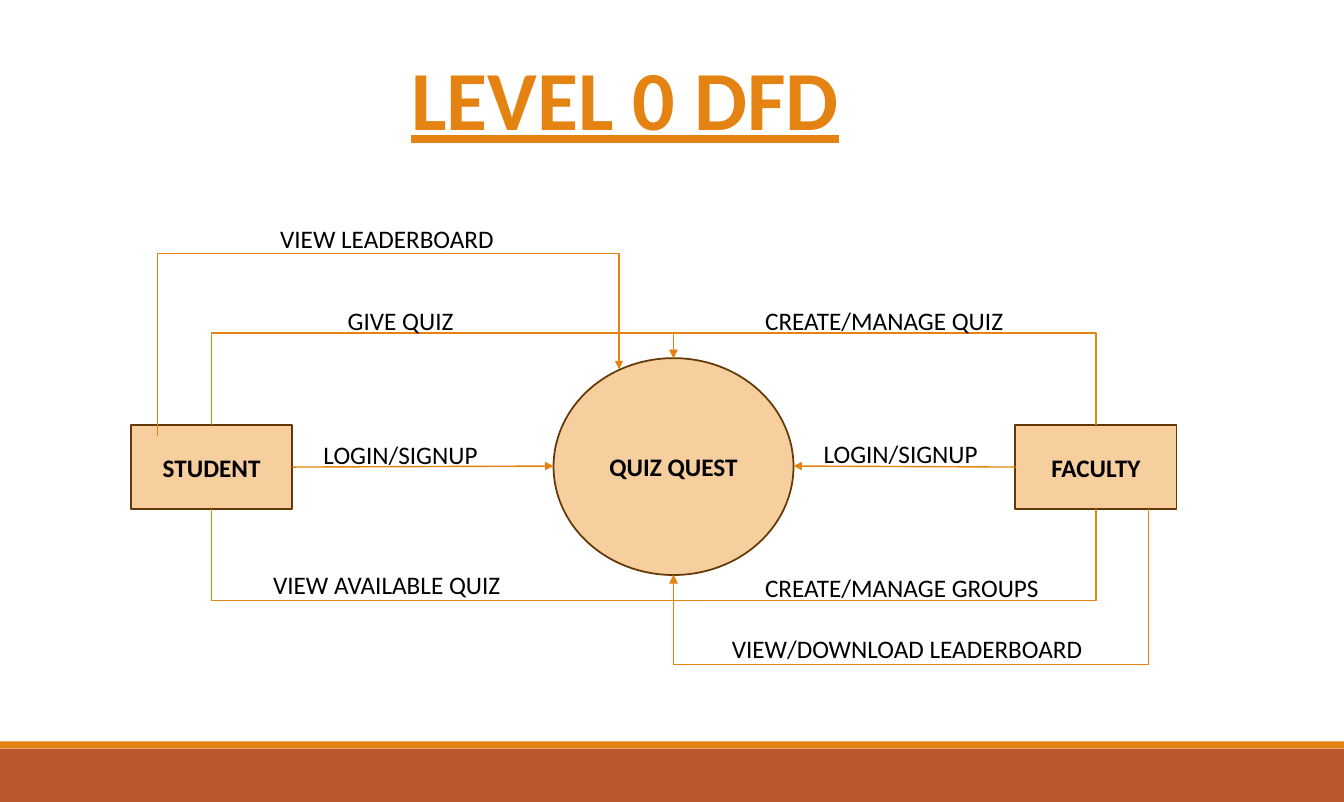
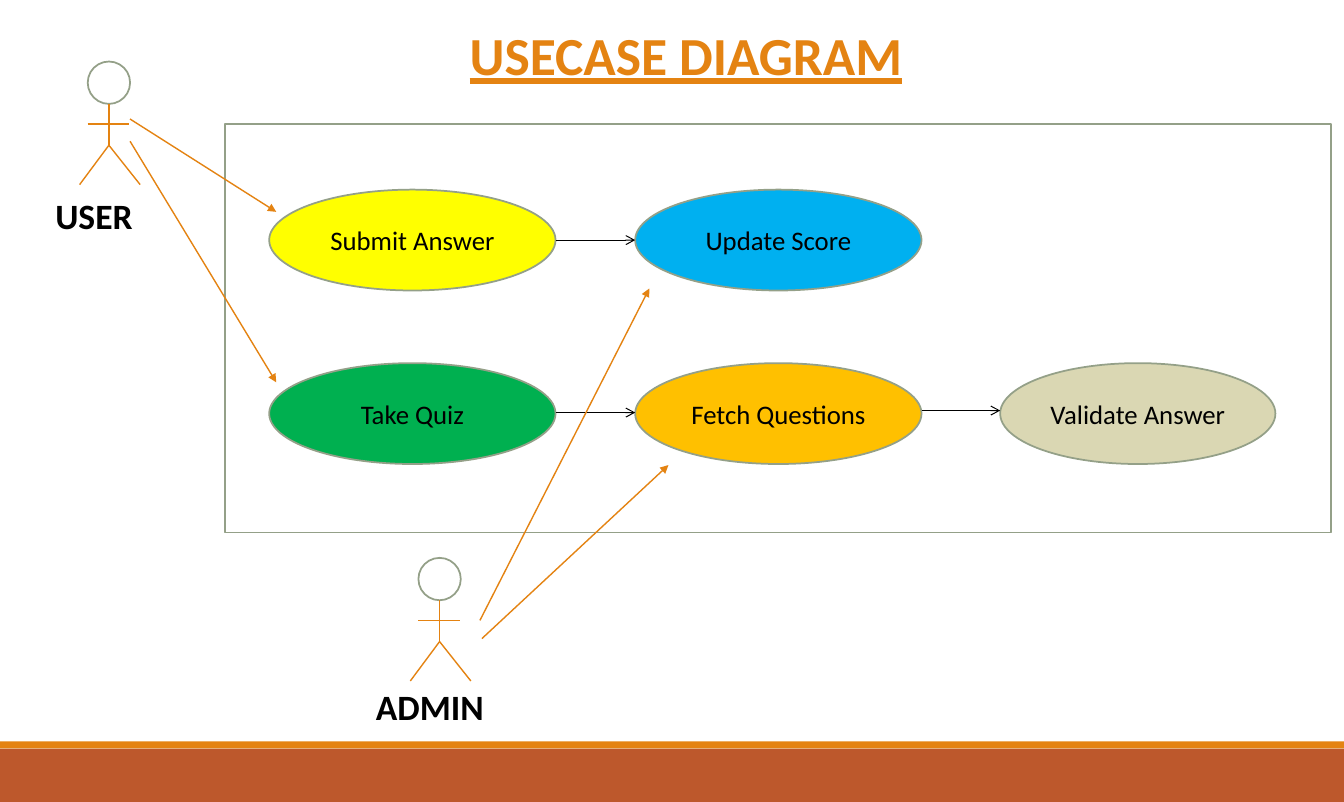
"""Build a two-slide deck with a level 0 data flow diagram and a use case diagram."""
from typing import NamedTuple

import lxml.etree
import pptx
import pptx.dml.color
import pptx.enum.shapes
import pptx.enum.text
import pptx.oxml.ns
import pptx.util

Inches = pptx.util.Inches
Pt = pptx.util.Pt
qn = pptx.oxml.ns.qn
SHAPE = pptx.enum.shapes.MSO_SHAPE
CONNECTOR = pptx.enum.shapes.MSO_CONNECTOR
ALIGN = pptx.enum.text.PP_ALIGN
ANCHOR = pptx.enum.text.MSO_ANCHOR
AUTO_SIZE = pptx.enum.text.MSO_AUTO_SIZE

FONT = "Calibri"
WIDTH, HEIGHT = 13.33, 7.95
COLORS = {
    "accent": "E48312",
    "band": "BD582C",
    "peach": "F7CE9D",
    "brown": "643908",
    "sage": "94A088",
    "black": "000000",
    "white": "FFFFFF",
    "yellow": "FFFF00",
    "blue": "00B0F0",
    "green": "00B050",
    "amber": "FFC000",
    "sand": "DAD7B3",
}


class Box(NamedTuple):
    left: float
    top: float
    width: float
    height: float


class Label(NamedTuple):
    text: str
    left: float
    top: float
    width: float


class Route(NamedTuple):
    x1: float
    y1: float
    x2: float
    y2: float
    via_y: float


class UseCase(NamedTuple):
    text: str
    left: float
    top: float
    width: float
    fill: str


class Arrow(NamedTuple):
    x1: float
    y1: float
    x2: float
    y2: float


class Actor(NamedTuple):
    x: float
    y: float
    label: Label


FLOW_LABELS = [
    Label("LOGIN/SIGNUP", 3.11, 4.31, 1.75),
    Label("VIEW AVAILABLE QUIZ", 2.61, 5.59, 2.48),
    Label("GIVE QUIZ", 3.35, 2.98, 1.26),
    Label("VIEW LEADERBOARD", 2.68, 2.16, 2.34),
    Label("LOGIN/SIGNUP", 8.07, 4.3, 1.75),
    Label("CREATE/MANAGE QUIZ", 7.49, 2.98, 2.58),
    Label("CREATE/MANAGE GROUPS", 7.49, 5.62, 2.94),
    Label("VIEW/DOWNLOAD LEADERBOARD", 7.16, 6.23, 3.77),
]
FLOW_ROUTES = [
    Route(2.1, 5.05, 6.68, 5.7, 5.95),
    Route(2.1, 4.21, 6.68, 3.55, 3.3),
    Route(1.56, 4.32, 6.14, 3.66, 2.51),
    Route(10.87, 4.21, 6.68, 3.55, 3.3),
    Route(10.87, 5.05, 6.68, 5.7, 5.95),
    Route(11.39, 5.05, 6.68, 5.7, 6.59),
]

COLUMNS = [2.67, 6.3, 9.92]
ROWS = [1.88, 3.6]
USE_CASES = [
    UseCase("Submit Answer", COLUMNS[0], ROWS[0], 2.84, "yellow"),
    UseCase("Update Score", COLUMNS[1], ROWS[0], 2.84, "blue"),
    UseCase("Take Quiz", COLUMNS[0], ROWS[1], 2.84, "green"),
    UseCase("Fetch Questions", COLUMNS[1], ROWS[1], 2.84, "amber"),
    UseCase("Validate Answer", COLUMNS[2], ROWS[1], 2.73, "sand"),
]
CASE_ARROWS = [
    Arrow(5.51, 2.38, COLUMNS[1], 2.38),
    Arrow(5.51, 4.09, COLUMNS[1], 4.09),
    Arrow(9.14, 4.07, COLUMNS[2], 4.07),
]
ACTOR_ARROWS = [
    Arrow(4.76, 6.15, 6.44, 2.86),
    Arrow(4.78, 6.33, 6.63, 4.61),
    Arrow(1.29, 1.18, 2.74, 2.1),
    Arrow(1.29, 1.4, 2.74, 3.79),
]
ACTORS = [
    Actor(0.87, 0.61, Label("USER", 0.45, 1.87, 1.7)),
    Actor(4.15, 5.53, Label("ADMIN", 3.63, 6.74, 1.86)),
]
LIMBS = [
    Arrow(0.21, 0.42, 0.21, 0.83),
    Arrow(0.21, 0.83, 0.52, 1.22),
    Arrow(0.21, 0.83, -0.08, 1.22),
    Arrow(0, 0.62, 0.41, 0.62),
]


def rgb(name: str) -> pptx.dml.color.RGBColor:
    return pptx.dml.color.RGBColor.from_string(COLORS[name])


def write(tf, text: str, size: float, color: str = "black", bold: bool = False,
          underline: bool = False) -> None:
    tf.text = text
    font = tf.paragraphs[0].runs[0].font
    font.name, font.size, font.bold, font.underline = FONT, Pt(size), bold, underline
    font.color.rgb = rgb(color)


def add_text(slide, label: Label, height: float, size: float, wrap: bool = True, **style) -> None:
    s = slide.shapes.add_textbox(Inches(label.left), Inches(label.top),
                                 Inches(label.width), Inches(height))
    tf = s.text_frame
    tf.word_wrap = wrap
    tf.auto_size = AUTO_SIZE.SHAPE_TO_FIT_TEXT
    write(tf, label.text, size, **style)


def add_title(slide, label: Label, height: float, size: float) -> None:
    add_text(slide, label, height, size, color="accent", bold=True, underline=True)


def add_box(slide, kind, box: Box, fill: str = "", line: str = ""):
    s = slide.shapes.add_shape(kind, *(Inches(v) for v in box))
    s.shadow.inherit = False
    if fill:
        s.fill.solid()
        s.fill.fore_color.rgb = rgb(fill)
    else:
        s.fill.background()
    if line:
        s.line.color.rgb = rgb(line)
        s.line.width = Pt(1.25)
    else:
        s.line.fill.background()
    return s


def add_node(slide, kind, box: Box, text: str, size: float, fill: str, line: str,
             bold: bool = False):
    s = add_box(slide, kind, box, fill, line)
    tf = s.text_frame
    tf.vertical_anchor = ANCHOR.MIDDLE
    write(tf, text, size, bold=bold)
    tf.paragraphs[0].alignment = ALIGN.CENTER
    return s


def add_line(slide, arrow: Arrow, color: str = "accent", width: float = 1, tail: str = "",
             kind=CONNECTOR.STRAIGHT):
    s = slide.shapes.add_connector(kind, *(Inches(v) for v in arrow))
    s.line.color.rgb = rgb(color)
    s.line.width = Pt(width)
    sp = s._element.spPr
    if tail:
        lxml.etree.SubElement(sp.find(qn("a:ln")), qn("a:tailEnd"), type=tail)
    lxml.etree.SubElement(sp, qn("a:effectLst"))
    return s


def add_route(slide, route: Route) -> None:
    dx, dy = route.x2 - route.x1, route.y2 - route.y1
    cx, cy = (route.x1 + route.x2) / 2, (route.y1 + route.y2) / 2
    half, turn = abs(dy) / 2, (1 if dy > 0 else -1)
    frame = Arrow(cx - half, cy + turn * dx / 2, cx + half, cy - turn * dx / 2)
    s = add_line(slide, frame, tail="triangle", kind=CONNECTOR.ELBOW)
    sp = s._element.spPr
    sp.find(qn("a:xfrm")).set("rot", str((90 if dy > 0 else 270) * 60000))
    bend = round((route.via_y - route.y1) / dy * 100000)
    guides = sp.find(qn("a:prstGeom")).find(qn("a:avLst"))
    lxml.etree.SubElement(guides, qn("a:gd"), name="adj1", fmla=f"val {bend}")


def add_actor(slide, actor: Actor) -> None:
    add_box(slide, SHAPE.OVAL, Box(actor.x, actor.y, 0.42, 0.42), "white", "sage")
    for limb in LIMBS:
        add_line(slide, Arrow(actor.x + limb.x1, actor.y + limb.y1,
                              actor.x + limb.x2, actor.y + limb.y2))
    add_text(slide, actor.label, 0.53, 25.4, bold=True)


def new_slide(prs):
    slide = prs.slides.add_slide(prs.slide_layouts[6])
    add_box(slide, SHAPE.RECTANGLE, Box(0, 7.42, WIDTH, 0.53), "band")
    add_box(slide, SHAPE.RECTANGLE, Box(0, 7.35, WIDTH, 0.07), "accent")
    return slide


def build_data_flow(prs) -> None:
    slide = new_slide(prs)
    style = {"size": 18, "fill": "peach", "line": "brown", "bold": True}
    add_node(slide, SHAPE.OVAL, Box(5.49, 3.55, 2.38, 2.15), "QUIZ QUEST", **style)
    student = add_node(slide, SHAPE.RECTANGLE, Box(1.3, 4.21, 1.6, 0.84), "STUDENT", **style)
    faculty = add_node(slide, SHAPE.RECTANGLE, Box(10.07, 4.21, 1.6, 0.84), "FACULTY", **style)
    login = add_line(slide, Arrow(2.9, 4.63, 5.49, 4.62), tail="triangle")
    login.begin_connect(student, 3)
    login = add_line(slide, Arrow(10.07, 4.63, 7.87, 4.62), tail="triangle")
    login.begin_connect(faculty, 1)
    for route in FLOW_ROUTES:
        add_route(slide, route)
    for label in FLOW_LABELS:
        add_text(slide, label, 0.4, 18, wrap=False)
    add_title(slide, Label("LEVEL 0 DFD", 3.98, 0.41, 6.23), 1.11, 60)


def build_use_cases(prs) -> None:
    slide = new_slide(prs)
    add_box(slide, SHAPE.RECTANGLE, Box(2.23, 1.23, 10.97, 4.05), line="sage")
    for case in USE_CASES:
        add_node(slide, SHAPE.OVAL, Box(case.left, case.top, case.width, 1), case.text,
                 19.1, case.fill, "sage")
    for actor in ACTORS:
        add_actor(slide, actor)
    for arrow in CASE_ARROWS:
        add_line(slide, arrow, "black", 0.75, "arrow")
    for arrow in ACTOR_ARROWS:
        add_line(slide, arrow, tail="triangle")
    add_title(slide, Label("USECASE DIAGRAM", 4.56, 0.17, 6.19), 0.74, 38.2)


def main() -> None:
    prs = pptx.Presentation()
    prs.slide_width, prs.slide_height = Inches(WIDTH), Inches(HEIGHT)
    build_data_flow(prs)
    build_use_cases(prs)
    prs.save("out.pptx")


if __name__ == "__main__":
    main()
